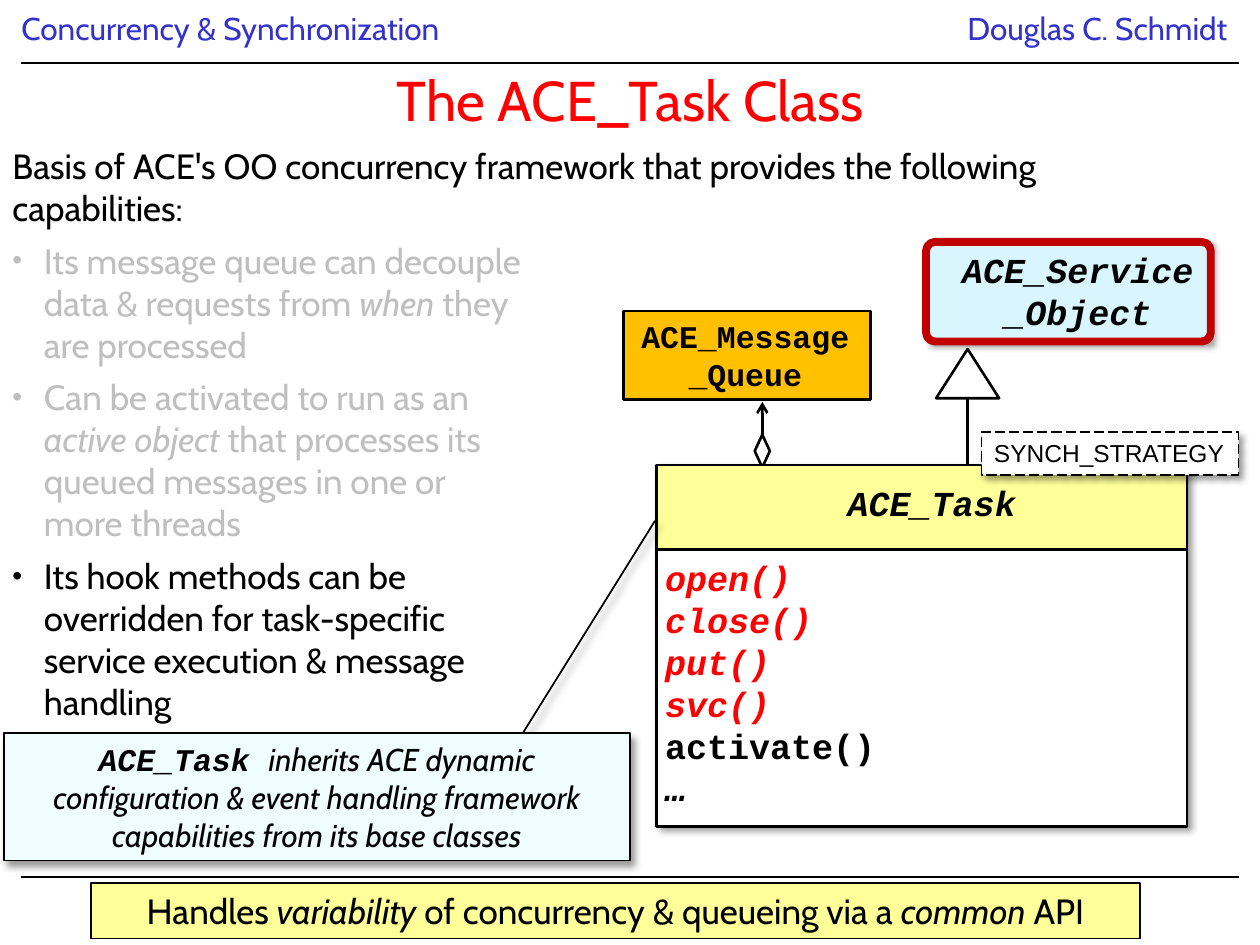
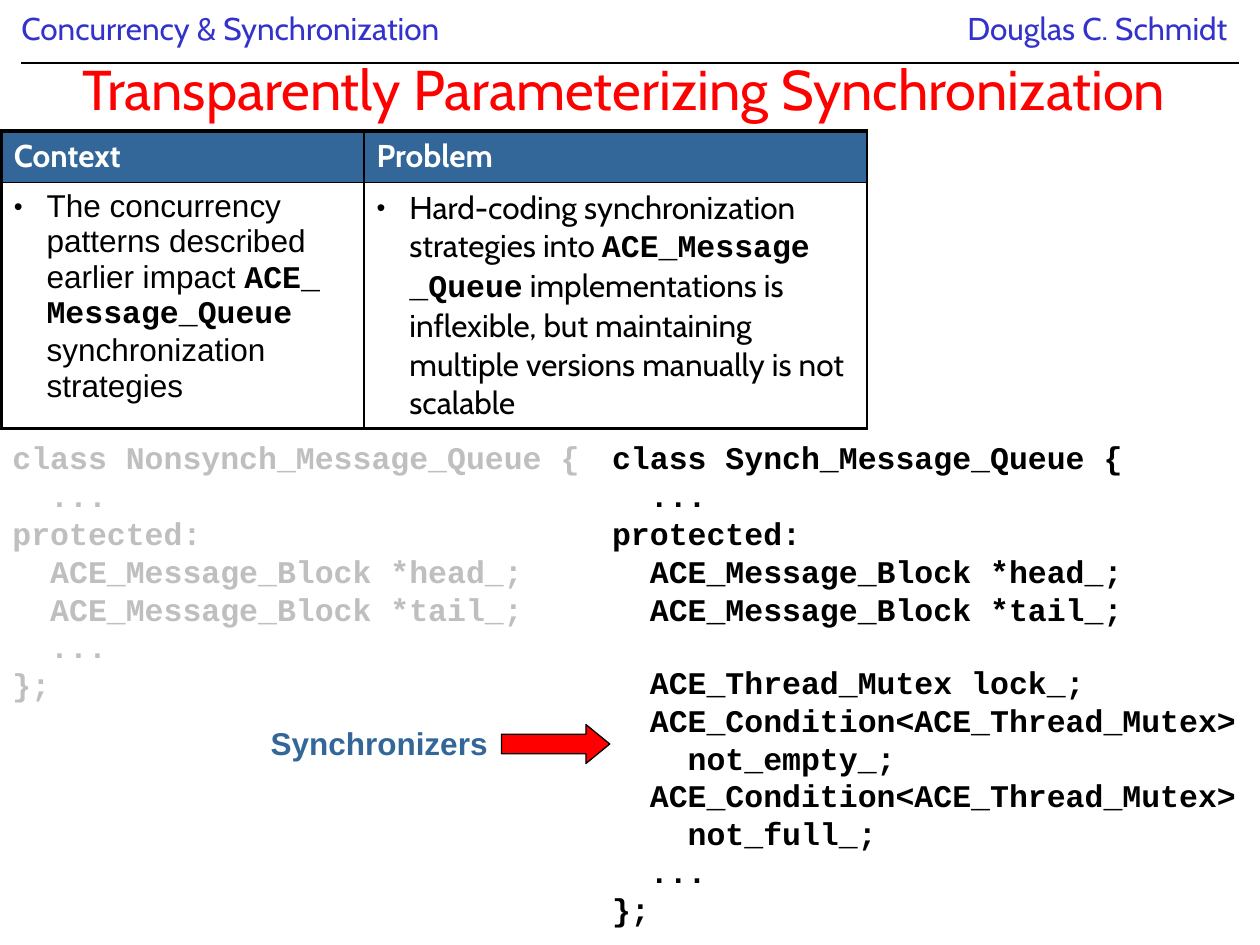
from dataclasses import dataclass
from typing import NamedTuple, Optional

import pptx
import pptx.dml.color
import pptx.enum.dml
import pptx.enum.shapes
import pptx.enum.text
import pptx.oxml.ns
import pptx.util
from lxml import etree

SHAPE = pptx.enum.shapes.MSO_SHAPE
ALIGN = pptx.enum.text.PP_ALIGN
ANCHOR = pptx.enum.text.MSO_ANCHOR
qn = pptx.oxml.ns.qn
EMU_PER_PX = 9144  # 100 px to the inch


@dataclass(frozen=True)
class Theme:
    sans: str = "Cabin"
    plain: str = "Arial"
    mono: str = "Courier New"
    black: str = "000000"
    white: str = "FFFFFF"
    red: str = "FF0000"
    faded: str = "BFBFBF"
    header: str = "3333CC"
    steel: str = "336699"
    yellow: str = "FFFF99"
    orange: str = "FFC000"
    pale_blue: str = "D9F6FF"
    pale_cyan: str = "EFFDFF"
    frame: str = "C00000"
    title_size: int = 32
    large: int = 20
    normal: int = 18
    small: int = 14


THEME = Theme()


class Box(NamedTuple):
    left: int
    top: int
    width: int
    height: int


class Span(NamedTuple):
    text: str
    font: Optional[str] = None
    bold: Optional[bool] = None
    italic: Optional[bool] = None


@dataclass(frozen=True)
class Para:
    spans: tuple
    color: Optional[str] = None
    italic: Optional[bool] = None
    indent: int = 0  # hanging indent of a bullet, in px
    before: float = 0


def px(length: int) -> int:
    return length * EMU_PER_PX


def place(box: Box) -> list:
    return [px(length) for length in box]


def rgb(color: str):
    return pptx.dml.color.RGBColor.from_string(color)


def child(parent, tag: str, **attributes):
    return etree.SubElement(parent, qn(tag), attributes)


def para(*parts, **options) -> Para:
    """A paragraph of plain strings and spans."""
    return Para(tuple(Span(p) if isinstance(p, str) else p for p in parts), **options)


def add_bullet(paragraph, indent: int) -> None:
    props = paragraph._p.get_or_add_pPr()
    props.set("marL", str(px(indent)))
    props.set("indent", str(-px(indent)))
    child(props, "a:buSzPct", val="80000")
    child(props, "a:buFont", typeface=THEME.plain)
    child(props, "a:buChar", char="•")


def write(frame, paragraphs, *, font=THEME.sans, size=THEME.normal, color=THEME.black,
          bold=False, italic=False, align=ALIGN.LEFT, spacing=None) -> None:
    """Fill a text frame; paragraphs and spans may override the format."""
    for index, content in enumerate(paragraphs):
        if isinstance(content, str):
            content = para(content)
        paragraph = frame.paragraphs[0] if index == 0 else frame.add_paragraph()
        if content.indent:
            add_bullet(paragraph, content.indent)
        paragraph.alignment = align
        if spacing:
            paragraph.line_spacing = spacing
        if content.before and index:
            paragraph.space_before = pptx.util.Pt(content.before)
        slant = italic if content.italic is None else content.italic
        for span in content.spans:
            for number, line in enumerate(span.text.split("\n")):
                if number:
                    paragraph.add_line_break()
                if not line:
                    continue
                run = paragraph.add_run()
                run.text = line
                run.font.name = span.font or font
                run.font.size = pptx.util.Pt(size)
                run.font.bold = bold if span.bold is None else span.bold
                run.font.italic = slant if span.italic is None else span.italic
                run.font.color.rgb = rgb(content.color or color)


def add_shadow(shape) -> None:
    effects = shape.element.spPr.find(qn("a:effectLst"))
    outer = child(effects, "a:outerShdw", blurRad="50800", dist="38100",
                  dir="2700000", algn="tl", rotWithShape="0")
    child(child(outer, "a:srgbClr", val=THEME.black), "a:alpha", val="40000")


def draw(slide, kind, box: Box, *, fill=None, line=None, width=1.5, shadow=False,
         adjust=(), rotation=0, wrap=True, anchor=ANCHOR.TOP):
    shape = slide.shapes.add_shape(kind, *place(box))
    shape.shadow.inherit = False
    if shadow:
        add_shadow(shape)
    for index, value in enumerate(adjust):
        shape.adjustments[index] = value
    shape.rotation = rotation
    if fill:
        shape.fill.solid()
        shape.fill.fore_color.rgb = rgb(fill)
    else:
        shape.fill.background()
    if line:
        shape.line.color.rgb = rgb(line)
        shape.line.width = pptx.util.Pt(width)
    else:
        shape.line.fill.background()
    shape.text_frame.word_wrap = wrap
    shape.text_frame.vertical_anchor = anchor
    return shape


def label(slide, box: Box, paragraphs, **text_format):
    frame = slide.shapes.add_textbox(*place(box)).text_frame
    frame.word_wrap = True
    write(frame, paragraphs, **text_format)
    return frame


def rule(slide, x1: int, y1: int, x2: int, y2: int, width=1.5, arrow=False) -> None:
    connector = slide.shapes.add_connector(
        pptx.enum.shapes.MSO_CONNECTOR.STRAIGHT, px(x1), px(y1), px(x2), px(y2))
    connector.line.color.rgb = rgb(THEME.black)
    connector.line.width = pptx.util.Pt(width)
    props = connector.element.spPr
    if arrow:
        child(props.find(qn("a:ln")), "a:headEnd", type="arrow")
    child(props, "a:effectLst")


def start_slide(deck, title: str, box: Box, spacing=None):
    """A slide with the shared header band and title style."""
    slide = deck.slides.add_slide(deck.slide_layouts[5])
    rule(slide, 17, 50, 983, 50, width=0.75)
    course = label(slide, Box(17, 6, 652, 37), ["Concurrency & Synchronization"],
                   color=THEME.header, spacing=0.9)
    course.margin_left = course.margin_right = 0
    label(slide, Box(733, 6, 251, 37), ["Douglas C. Schmidt"],
          color=THEME.header, align=ALIGN.RIGHT, spacing=0.9)
    heading = slide.shapes.title
    heading.left, heading.top, heading.width, heading.height = place(box)
    heading.text_frame.auto_size = pptx.enum.text.MSO_AUTO_SIZE.NONE
    heading.text_frame.vertical_anchor = ANCHOR.MIDDLE
    write(heading.text_frame, [title], size=THEME.title_size, color=THEME.red,
          align=ALIGN.CENTER, spacing=spacing)
    return slide


def draw_class_diagram(slide) -> None:
    class_name = dict(font=THEME.mono, bold=True, align=ALIGN.CENTER)
    outline = dict(line=THEME.black)
    # Class body and its methods
    draw(slide, SHAPE.RECTANGLE, Box(521, 369, 421, 287), fill=THEME.white,
         width=0.75, shadow=True, **outline)
    draw(slide, SHAPE.RECTANGLE, Box(521, 435, 421, 221), fill=THEME.white, **outline)
    hooks = [para(name, color=THEME.red) for name in ("open()", "close()", "put()", "svc()")]
    label(slide, Box(518, 437, 424, 239), [*hooks, para("activate()", italic=False), "…"],
          font=THEME.mono, size=THEME.large, bold=True, italic=True)
    # Message queue and aggregation
    rule(slide, 605, 319, 605, 384, arrow=True)
    draw(slide, SHAPE.RECTANGLE, Box(495, 247, 196, 70), fill=THEME.orange, **outline)
    label(slide, Box(493, 247, 197, 51), ["ACE_Message\n_Queue"], **class_name)
    draw(slide, SHAPE.FLOWCHART_DECISION, Box(592, 352, 26, 12), fill=THEME.white,
         rotation=90, **outline)
    # Service object and inheritance
    draw(slide, SHAPE.RECTANGLE, Box(737, 192, 223, 79), fill=THEME.pale_blue,
         shadow=True, **outline)
    label(slide, Box(753, 192, 205, 51), ["ACE_Service_Object"],
          size=THEME.large, italic=True, **class_name)
    draw(slide, SHAPE.ROUNDED_RECTANGLE, Box(735, 192, 226, 79), line=THEME.frame,
         width=4.5, adjust=(0.09,))
    rule(slide, 768, 293, 768, 370)
    draw(slide, SHAPE.ISOSCELES_TRIANGLE, Box(743, 277, 50, 39), fill=THEME.white, **outline)
    # Class name and template parameter
    draw(slide, SHAPE.RECTANGLE, Box(521, 369, 421, 67), fill=THEME.yellow, **outline)
    label(slide, Box(579, 377, 321, 51), ["ACE_Task"], size=THEME.large, italic=True,
          **class_name)
    strategy = draw(slide, SHAPE.RECTANGLE, Box(779, 343, 204, 34), fill=THEME.white,
                    width=0.75, shadow=True, wrap=False, **outline)
    strategy.line.dash_style = pptx.enum.dml.MSO_LINE.LONG_DASH
    write(strategy.text_frame, ["SYNCH_STRATEGY"], font=THEME.plain, size=THEME.small)


def build_task_class(deck) -> None:
    slide = start_slide(deck, "The ACE_Task Class", Box(17, 58, 967, 42))
    rule(slide, 17, 696, 983, 696, width=0.75)
    # Capabilities
    point = dict(indent=25, before=6)
    label(slide, Box(0, 110, 971, 515), [
        "Basis of ACE's OO concurrency framework that provides the following capabilities:",
        para("Its message queue can decouple\ndata & requests from ",
             Span("when", italic=True), " they\nare processed", color=THEME.faded, **point),
        para("Can be activated to run as an\n", Span("active object", italic=True),
             " that processes its\nqueued messages in one or\nmore threads",
             color=THEME.faded, **point),
        para("Its hook methods can be\noverridden for task-specific\n"
             "service execution & message\nhandling", **point),
    ], size=THEME.large)
    draw_class_diagram(slide)
    # Callout and summary
    callout = draw(slide, SHAPE.LINE_CALLOUT_1, Box(3, 582, 497, 101), fill=THEME.pale_cyan,
                   line=THEME.black, width=1, shadow=True, anchor=ANCHOR.MIDDLE,
                   adjust=(-0.01, 0.83, -1.67, 1.04))
    write(callout.text_frame, [para(
        Span("ACE_Task ", font=THEME.mono, bold=True),
        "inherits ACE dynamic configuration & event handling framework capabilities "
        "from its base classes")], italic=True, align=ALIGN.CENTER)
    summary = draw(slide, SHAPE.RECTANGLE, Box(72, 701, 833, 44), fill=THEME.yellow,
                   line=THEME.black, width=1)
    write(summary.text_frame, [para(
        "Handles ", Span("variability ", italic=True),
        "of concurrency & queueing via a ", Span("common", italic=True), " API")],
        size=THEME.large, align=ALIGN.CENTER)


def add_borders(cell, **widths: float) -> None:
    props = cell._tc.get_or_add_tcPr()
    for side in "LRTB":
        edge = child(props, f"a:ln{side}", w=str(pptx.util.Pt(widths.get(side, 1))))
        child(child(edge, "a:solidFill"), "a:srgbClr", val=THEME.black)


def add_context_table(slide) -> None:
    def code(text: str) -> Span:
        return Span(text, font=THEME.mono, bold=True)

    columns = [
        ("Context", THEME.plain, para(
            "The concurrency patterns described earlier impact ",
            code("ACE_ Message_Queue "), "synchronization strategies", indent=26)),
        ("Problem", THEME.sans, para(
            "Hard-coding synchronization strategies into ", code("ACE_Message _Queue"),
            " implementations is inflexible, but maintaining multiple versions manually "
            "is not scalable", indent=26)),
    ]
    table = slide.shapes.add_table(2, 2, *place(Box(1, 104, 687, 236))).table
    table.first_row = table.horz_banding = False
    for row, height in zip(table.rows, (41, 195)):
        row.height = px(height)
    for index, (width, (heading, font, content)) in enumerate(zip((288, 399), columns)):
        table.columns[index].width = px(width)
        left = 1 if index else 2.25
        top, body = table.cell(0, index), table.cell(1, index)
        add_borders(top, L=left, T=2.25)
        top.fill.solid()
        top.fill.fore_color.rgb = rgb(THEME.steel)
        write(top.text_frame, [heading], color=THEME.white, bold=True)
        add_borders(body, L=left, B=2.25)
        body.fill.background()
        write(body.text_frame, [content], font=font)


def build_synchronization(deck) -> None:
    slide = start_slide(deck, "Transparently Parameterizing Synchronization ",
                        Box(1, 24, 999, 100), spacing=0.85)
    add_context_table(slide)
    # The two queue classes
    members = ["  ...", "protected:", "  ACE_Message_Block *head_;",
               "  ACE_Message_Block *tail_;"]
    ending = ["  ...", "};"]
    guarded = [para("  ACE_Thread_Mutex lock_;", before=20.4)]
    guarded += [f"  ACE_Condition<ACE_Thread_Mutex>\n    {name};"
                for name in ("not_empty_", "not_full_")]
    listings = [
        (Box(476, 343, 524, 407), THEME.black,
         ["class Synch_Message_Queue {", *members, *guarded, *ending]),
        (Box(0, 343, 478, 246), THEME.faded,
         ["class Nonsynch_Message_Queue {", *members, *ending]),
    ]
    for box, color, lines in listings:
        listing = draw(slide, SHAPE.RECTANGLE, box, fill=THEME.white)
        write(listing.text_frame, lines, font=THEME.mono, color=color, bold=True)
    # Pointer to the synchronizers
    label(slide, Box(205, 570, 364, 40), ["Synchronizers"], font=THEME.plain,
          color=THEME.steel, bold=True)
    draw(slide, SHAPE.RIGHT_ARROW, Box(398, 575, 86, 31), fill=THEME.red,
         line=THEME.black, width=0.75, adjust=(0.5, 0.61))


def main() -> None:
    deck = pptx.Presentation()
    deck.slide_width, deck.slide_height = px(1000), px(750)
    build_task_class(deck)
    build_synchronization(deck)
    deck.save("out.pptx")


if __name__ == "__main__":
    main()
